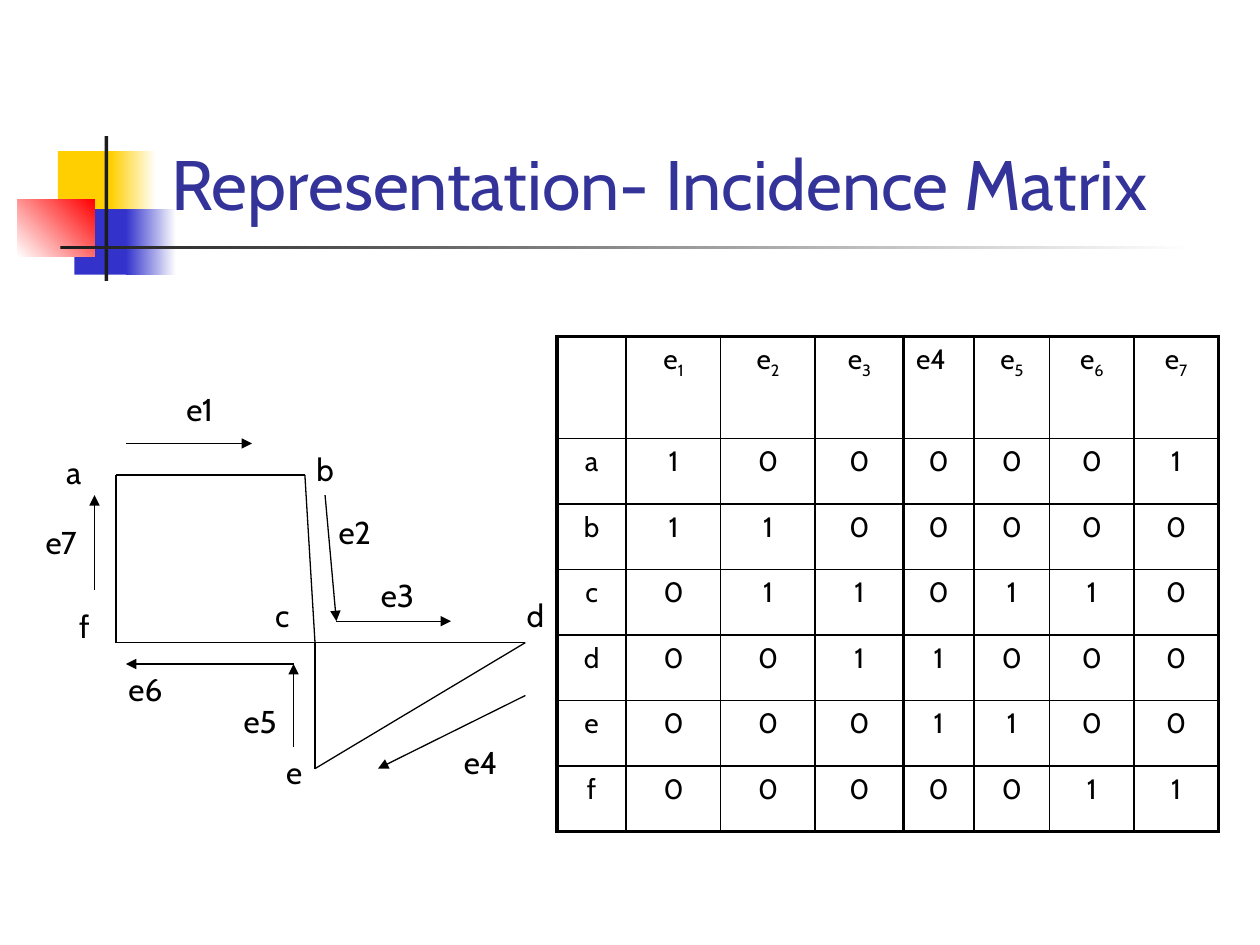
import pptx
import pptx.dml.color
import pptx.enum.shapes
import pptx.enum.text
import pptx.oxml
import pptx.oxml.ns
import pptx.util

Inches = pptx.util.Inches
Pt = pptx.util.Pt
ALIGN = pptx.enum.text.PP_ALIGN
ANCHOR = pptx.enum.text.MSO_ANCHOR


def colour(value):
    return pptx.dml.color.RGBColor.from_string(value)


def element(markup):
    namespace = pptx.oxml.ns.nsdecls("a")
    return pptx.oxml.parse_xml(markup.replace("{ns}", namespace))


class GraphSlide:
    font = "Cabin"
    ink = "000000"
    thin, thick = 1, 2.25

    def __init__(self, page):
        self.page = page

    def add_span(self, para, text, size, shade=None, subscript=False):
        span = para.add_run()
        span.text = text
        span.font.name = self.font
        span.font.size = Pt(size)
        span.font.color.rgb = colour(shade or self.ink)
        if subscript:
            span._r.get_or_add_rPr().set("baseline", "-25000")

    def add_block(self, left, top, width, height, *shades, angle=0):
        block = self.page.shapes.add_shape(
            pptx.enum.shapes.MSO_SHAPE.RECTANGLE,
            Inches(left), Inches(top), Inches(width), Inches(height))
        block.shadow.inherit = False
        block.line.fill.background()
        if len(shades) == 1:
            block.fill.solid()
            block.fill.fore_color.rgb = colour(shades[0])
        else:
            block.fill.gradient()
            block.fill.gradient_angle = angle
            for stop, shade in zip(block.fill.gradient_stops, shades):
                stop.color.rgb = colour(shade)

    def add_title(self, text, left, top, width, height):
        box = self.page.shapes.add_textbox(
            Inches(left), Inches(top), Inches(width), Inches(height))
        frame = box.text_frame
        frame.word_wrap = True
        frame.vertical_anchor = ANCHOR.BOTTOM
        self.add_span(frame.paragraphs[0], text, 40, "333399")

    def add_label(self, text, left, top, width):
        box = self.page.shapes.add_textbox(
            Inches(left), Inches(top), Inches(width), Inches(0.4))
        frame = box.text_frame
        frame.word_wrap = False
        frame.auto_size = pptx.enum.text.MSO_AUTO_SIZE.SHAPE_TO_FIT_TEXT
        para = frame.paragraphs[0]
        para.alignment = ALIGN.CENTER
        self.add_span(para, text, 18)

    def add_line(self, start, end, arrow=False):
        line = self.page.shapes.add_connector(
            pptx.enum.shapes.MSO_CONNECTOR.STRAIGHT,
            *(Inches(length) for length in (*start, *end)))
        line.line.color.rgb = colour(self.ink)
        line.line.width = Pt(0.75)
        if arrow:
            line.line._get_or_add_ln().append(
                element('<a:tailEnd {ns} type="triangle"/>'))
        line._element.spPr.append(element("<a:effectLst {ns}/>"))

    def set_borders(self, cell, outer):
        properties = cell._tc.get_or_add_tcPr()
        for side in "LRTB":
            width = Pt(self.thick if side in outer else self.thin)
            properties.append(element(
                f'<a:ln{side} {{ns}} w="{width}"><a:solidFill>'
                f'<a:srgbClr val="{self.ink}"/></a:solidFill></a:ln{side}>'))

    def add_matrix(self, left, top, widths, heights, rows):
        table = self.page.shapes.add_table(
            len(rows), len(widths), Inches(left), Inches(top),
            Inches(sum(widths)), Inches(sum(heights))).table
        table.first_row = False
        table.horz_banding = False
        for column, width in zip(table.columns, widths):
            column.width = Inches(width)
        for row, height in zip(table.rows, heights):
            row.height = Inches(height)
        for r, values in enumerate(rows):
            for c, value in enumerate(values):
                edges = {"L": c == 0, "R": c == len(widths) - 1,
                         "T": r == 0, "B": r == len(rows) - 1}
                cell = table.cell(r, c)
                self.set_borders(cell, [side for side in edges if edges[side]])
                cell.fill.background()
                para = cell.text_frame.paragraphs[0]
                para.alignment = ALIGN.LEFT if value == "e4" else ALIGN.CENTER
                base, _, index = value.partition("_")
                if base:
                    self.add_span(para, base, 16)
                if index:
                    self.add_span(para, index, 16, subscript=True)


BLOCKS = [
    (0.46, 1.2, 0.48, 0.52, "FFCF01"),
    (0.88, 1.2, 0.36, 0.52, "FFCF01", "FFFFFF"),
    (0.59, 1.66, 0.46, 0.52, "3333CC"),
    (1, 1.66, 0.4, 0.52, "3333CC", "FFFFFF"),
]
VERTICES = {"a": (0.92, 3.77), "b": (2.42, 3.77), "c": (2.5, 5.1),
            "d": (4.17, 5.1), "e": (2.5, 6.1), "f": (0.92, 5.1)}
EDGES = ["ab", "af", "fc", "bc", "cd", "ce", "ed"]
VERTEX_LABELS = [
    ("a", 0.42, 3.55, 0.33), ("b", 2.41, 3.52, 0.34), ("c", 2.08, 4.68, 0.32),
    ("d", 4.08, 4.68, 0.34), ("e", 2.17, 5.93, 0.33), ("f", 0.53, 4.77, 0.28),
]
ARROWS = [
    ((1, 3.52), (2, 3.52)), ((2.33, 5.27), (1, 5.27)),
    ((0.75, 4.68), (0.75, 3.93)), ((2.67, 4.93), (3.58, 4.93)),
    ((4.17, 5.52), (3, 6.1)), ((2.33, 5.93), (2.33, 5.27)),
    ((2.58, 3.93), (2.67, 4.93)),
]
EDGE_LABELS = [
    ("e1", 1.35, 3.05), ("e2", 2.58, 4.02), ("e3", 2.92, 4.52),
    ("e4", 3.58, 5.85), ("e5", 1.83, 5.52), ("e6", 0.92, 5.27),
    ("e7", 0.25, 4.1),
]
MATRIX = [
    ["", "e_1", "e_2", "e_3", "e4", "e_5", "e_6", "e_7"],
    *map(list, ("a1000001", "b1100000", "c0110110",
                "d0011000", "e0001100", "f0000011")),
]
ROW_HEIGHTS = [0.81] + [0.52] * 6


def main():
    deck = pptx.Presentation()
    deck.slide_width, deck.slide_height = Inches(10), Inches(7.5)
    slide = GraphSlide(deck.slides.add_slide(deck.slide_layouts[6]))

    for block in BLOCKS:
        slide.add_block(*block)
    slide.add_block(0.14, 1.58, 0.61, 0.46, "FFFFFF", "FF0000", angle=45)
    slide.add_block(0.83, 1.08, 0.03, 1.15, "1C1C1C")
    slide.add_block(0.48, 1.95, 9, 0.03, "1C1C1C", "FFFFFF")
    slide.add_title("Representation- Incidence Matrix", 1.26, 0.23, 8.52, 1.6)

    slide.add_matrix(4.42, 2.67, [0.55, 0.75, 0.75, 0.7], ROW_HEIGHTS,
                     [row[:4] for row in MATRIX])
    for start, end in EDGES:
        slide.add_line(VERTICES[start], VERTICES[end])
    for label in VERTEX_LABELS:
        slide.add_label(*label)
    for start, end in ARROWS:
        slide.add_line(start, end, arrow=True)
    for label in EDGE_LABELS:
        slide.add_label(*label, 0.47)
    slide.add_matrix(7.17, 2.67, [0.56, 0.6, 0.67, 0.67], ROW_HEIGHTS,
                     [row[4:] for row in MATRIX])

    deck.save("out.pptx")


if __name__ == "__main__":
    main()
